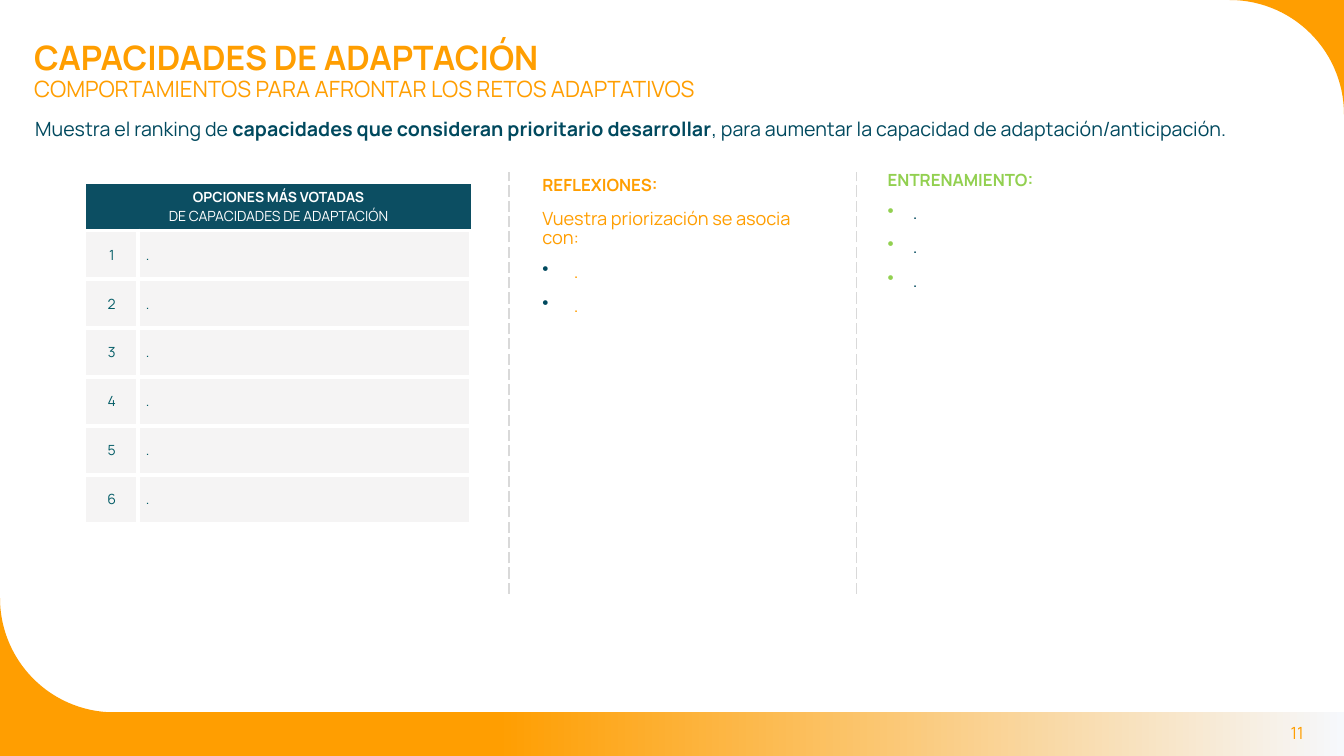
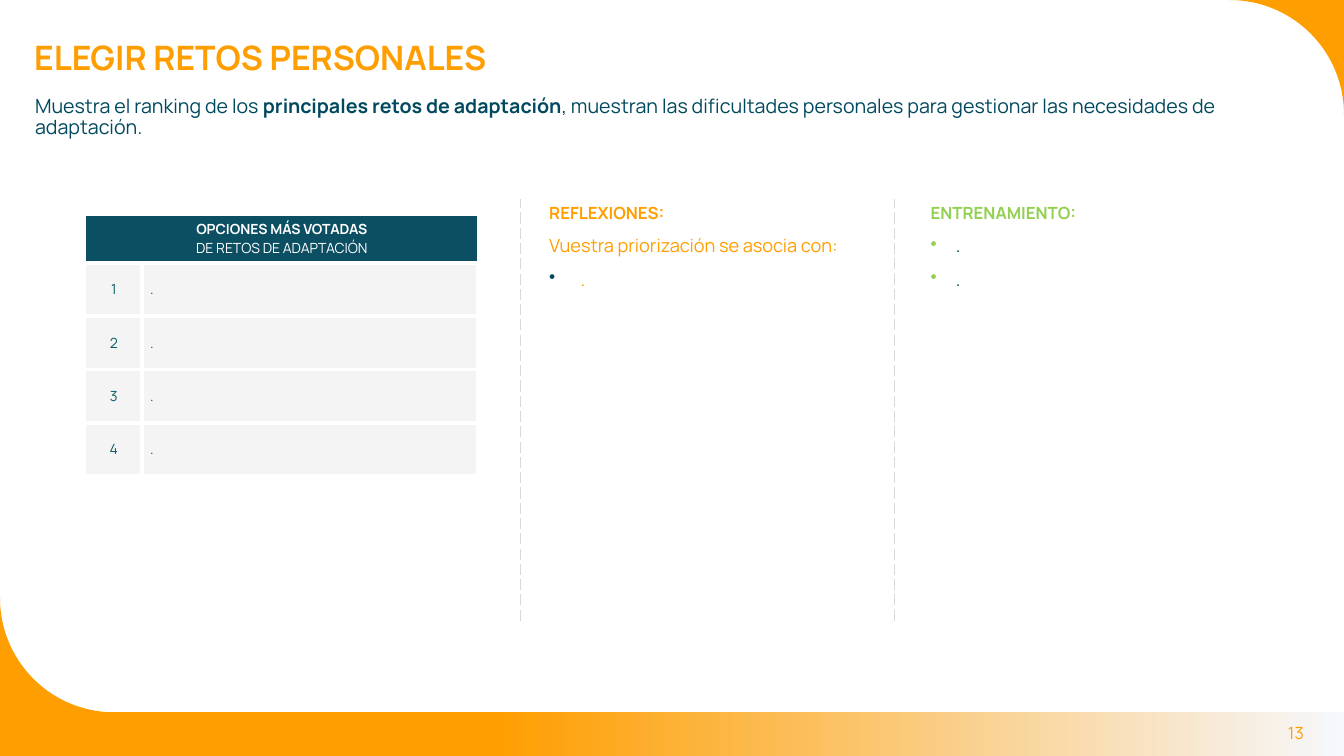
from dataclasses import dataclass
from math import cos, radians, sin

from lxml import etree
from pptx import Presentation
from pptx.dml.color import RGBColor
from pptx.enum.dml import MSO_LINE
from pptx.enum.shapes import MSO_CONNECTOR, MSO_SHAPE
from pptx.enum.text import MSO_ANCHOR, PP_ALIGN
from pptx.oxml.ns import qn
from pptx.util import Emu, Inches, Pt


@dataclass(frozen=True)
class Theme:
    font: str = "Manrope"
    orange: str = "FF9E01"
    navy: str = "00495E"
    green: str = "92D050"
    header: str = "0C4E62"
    teal: str = "045D67"
    cell: str = "F5F4F4"
    rule: str = "D9D9D9"
    pale: str = "F6F8FC"
    white: str = "FFFFFF"
    title: int = 24
    subtitle: int = 16
    intro: int = 14
    body: int = 13
    heading: int = 12
    table: int = 10
    line_spacing: float = 0.9
    gap: int = 10


THEME = Theme()
WIDTH, HEIGHT = Inches(13.333), Inches(7.5)
COLUMNS, ROWS = 160, 90
BAND_TOP = 84.8
RADIUS = 13.6
LEFT = 2.9
TABLE_LEFT = 10.2


def across(columns):
    return Emu(round(WIDTH * columns / COLUMNS))


def down(rows):
    return Emu(round(HEIGHT * rows / ROWS))


def rgb(color):
    return RGBColor.from_string(color)


def add_box(page, left, top, width, height):
    box = page.shapes.add_textbox(across(left), down(top), across(width), down(height))
    box.text_frame.word_wrap = True
    return box.text_frame


def next_paragraph(frame):
    first = frame.paragraphs[0]
    return frame.add_paragraph() if first.runs else first


def style(para, size, color, bold=False):
    para.font.name = THEME.font
    para.font.size = Pt(size)
    para.font.bold = bold
    para.font.color.rgb = rgb(color)


def write(frame, text, size, color, bold=False, gap=0):
    para = next_paragraph(frame)
    para.line_spacing = THEME.line_spacing
    if gap:
        para.space_before = Pt(gap)
    style(para, size, color, bold)
    para.add_run().text = text
    return para


def write_bullet(frame, text, color, bullet_color, indent):
    para = frame.add_paragraph()
    para.line_spacing = THEME.line_spacing
    para.space_before = Pt(THEME.gap)
    properties = para._p.get_or_add_pPr()
    properties.set("marL", str(across(indent)))
    properties.set("indent", str(-across(indent)))
    tint = etree.SubElement(properties, qn("a:buClr"))
    etree.SubElement(tint, qn("a:srgbClr"), val=bullet_color)
    etree.SubElement(properties, qn("a:buChar"), char="•")
    style(para, THEME.body, color)
    para.add_run().text = text


def add_corner(page, corner, center, start):
    arc = [
        (
            across(center[0] + RADIUS * cos(radians(angle))),
            down(center[1] + RADIUS * sin(radians(angle))),
        )
        for angle in range(start, start + 91, 3)
    ]
    builder = page.shapes.build_freeform(across(corner[0]), down(corner[1]))
    builder.add_line_segments(arc)
    shape = builder.convert_to_shape()
    shape.shadow.inherit = False
    shape.fill.solid()
    shape.fill.fore_color.rgb = rgb(THEME.orange)
    shape.line.fill.background()


def add_frame(page, number):
    band = page.shapes.add_shape(
        MSO_SHAPE.RECTANGLE, 0, down(BAND_TOP), WIDTH, down(ROWS - BAND_TOP)
    )
    band.shadow.inherit = False
    band.line.fill.background()
    band.fill.gradient()
    band.fill.gradient_angle = 0
    stops = ((0.37, THEME.orange), (1, THEME.pale))
    for stop, (position, color) in zip(band.fill.gradient_stops, stops):
        stop.position = position
        stop.color.rgb = rgb(color)
    add_corner(page, (0, BAND_TOP), (RADIUS, BAND_TOP - RADIUS), 90)
    add_corner(page, (COLUMNS, 0), (COLUMNS - RADIUS, RADIUS), 270)
    frame = add_box(page, 144.7, BAND_TOP, 11.7, ROWS - BAND_TOP)
    frame.vertical_anchor = MSO_ANCHOR.MIDDLE
    para = write(frame, str(number), THEME.heading, THEME.orange)
    para.alignment = PP_ALIGN.RIGHT


def add_title(page, title, subtitle=None):
    frame = add_box(page, LEFT, 4.4, 117, 9 if subtitle else 6)
    write(frame, title, THEME.title, THEME.orange, bold=True)
    if subtitle:
        write(frame, subtitle, THEME.subtitle, THEME.orange)


def add_intro(page, top, width, before, strong, after):
    frame = add_box(page, LEFT + 0.1, top, width, 4)
    para = write(frame, before, THEME.intro, THEME.navy)
    span = para.add_run()
    span.text = strong
    span.font.bold = True
    para.add_run().text = after


def add_divider(page, column, top):
    line = page.shapes.add_connector(
        MSO_CONNECTOR.STRAIGHT, across(column), down(top + 50.2), across(column), down(top)
    )
    line.line.color.rgb = rgb(THEME.rule)
    line.line.width = Pt(1)
    line.line.dash_style = MSO_LINE.LONG_DASH
    etree.SubElement(line._element.spPr, qn("a:effectLst"))


def set_borders(cell, left, top, right, bottom):
    properties = cell._tc.get_or_add_tcPr()
    widths = {"a:lnL": left, "a:lnR": right, "a:lnT": top, "a:lnB": bottom}
    for index, (tag, width) in enumerate(widths.items()):
        border = etree.Element(qn(tag), w=str(Pt(width)))
        fill = etree.SubElement(border, qn("a:solidFill"))
        etree.SubElement(fill, qn("a:srgbClr"), val=THEME.white)
        properties.insert(index, border)


def fill_cell(cell, lines, fill, color, alignment):
    cell.fill.solid()
    cell.fill.fore_color.rgb = rgb(fill)
    cell.vertical_anchor = MSO_ANCHOR.MIDDLE
    for text, bold in lines:
        para = next_paragraph(cell.text_frame)
        para.alignment = alignment
        style(para, THEME.table, color, bold)
        para.add_run().text = text


def add_ranking(page, top, widths, header_height, row_height, topic, options):
    table = page.shapes.add_table(
        len(options) + 1, 2, across(TABLE_LEFT), down(top), across(sum(widths)),
        down(header_height + row_height * len(options)),
    ).table
    table.first_row = False
    table.horz_banding = False
    for column, width in zip(table.columns, widths):
        column.width = across(width)
    for index, row in enumerate(table.rows):
        row.height = down(row_height if index else header_height)
    header = table.cell(0, 0)
    header.merge(table.cell(0, 1))
    heading = [("OPCIONES MÁS VOTADAS", True), (topic, False)]
    fill_cell(header, heading, THEME.header, THEME.white, PP_ALIGN.CENTER)
    for cell in table.rows[0].cells:
        set_borders(cell, 1, 1, 1, 3)
    for rank, option in enumerate(options, 1):
        entries = ((str(rank), PP_ALIGN.CENTER, 1), (option, PP_ALIGN.LEFT, 3))
        for cell, (text, alignment, left) in zip(table.rows[rank].cells, entries):
            fill_cell(cell, [(text, False)], THEME.cell, THEME.teal, alignment)
            cell.margin_left = cell.margin_right = across(0.96)
            cell.margin_top = cell.margin_bottom = down(0.84)
            set_borders(cell, left, 3, 3, 3)


def add_reflections(page, left, top, width, points):
    frame = add_box(page, left, top, width, 25)
    write(frame, "REFLEXIONES:", THEME.heading, THEME.orange, bold=True)
    write(frame, "Vuestra priorización se asocia con:", THEME.body, THEME.orange, gap=THEME.gap)
    for point in points:
        write_bullet(frame, point, THEME.orange, THEME.navy, 3.75)


def add_training(page, left, top, width, points):
    frame = add_box(page, left, top, width, 48)
    write(frame, "ENTRENAMIENTO:", THEME.heading, THEME.green, bold=True)
    for point in points:
        write_bullet(frame, point, THEME.navy, THEME.green, 3)


def build_capacities(page):
    add_frame(page, 11)
    for column in (60.6, 102):
        add_divider(page, column, 20.5)
    add_title(
        page, "CAPACIDADES DE ADAPTACIÓN", "COMPORTAMIENTOS PARA AFRONTAR LOS RETOS ADAPTATIVOS"
    )
    add_intro(
        page, 13.6, 151.7, "Muestra el ranking de ",
        "capacidades que consideran prioritario desarrollar",
        ", para aumentar la capacidad de adaptación/anticipación.",
    )
    add_ranking(
        page, 21.8, (6.2, 39.7), 5.64, 5.82, "DE CAPACIDADES DE ADAPTACIÓN", ["."] * 6
    )
    add_reflections(page, 63.4, 20.5, 36, ["."] * 2)
    add_training(page, 104.5, 19.9, 51.6, ["."] * 3)


def build_challenges(page):
    add_frame(page, 13)
    for column in (62, 106.5):
        add_divider(page, column, 23.7)
    add_title(page, "ELEGIR RETOS PERSONALES")
    add_intro(
        page, 10.9, 149, "Muestra el ranking de los ", "principales retos de adaptación",
        ", muestran las dificultades personales para gestionar las necesidades de adaptación.",
    )
    add_ranking(page, 25.6, (6.7, 40), 5.7, 6.35, "DE RETOS DE ADAPTACIÓN", ["."] * 4)
    add_reflections(page, 64.2, 23.8, 39.5, ["."])
    add_training(page, 109.6, 23.8, 42.8, ["."] * 2)


def main():
    deck = Presentation()
    deck.slide_width, deck.slide_height = WIDTH, HEIGHT
    for build in (build_capacities, build_challenges):
        build(deck.slides.add_slide(deck.slide_layouts[6]))
    deck.save("out.pptx")


if __name__ == "__main__":
    main()
